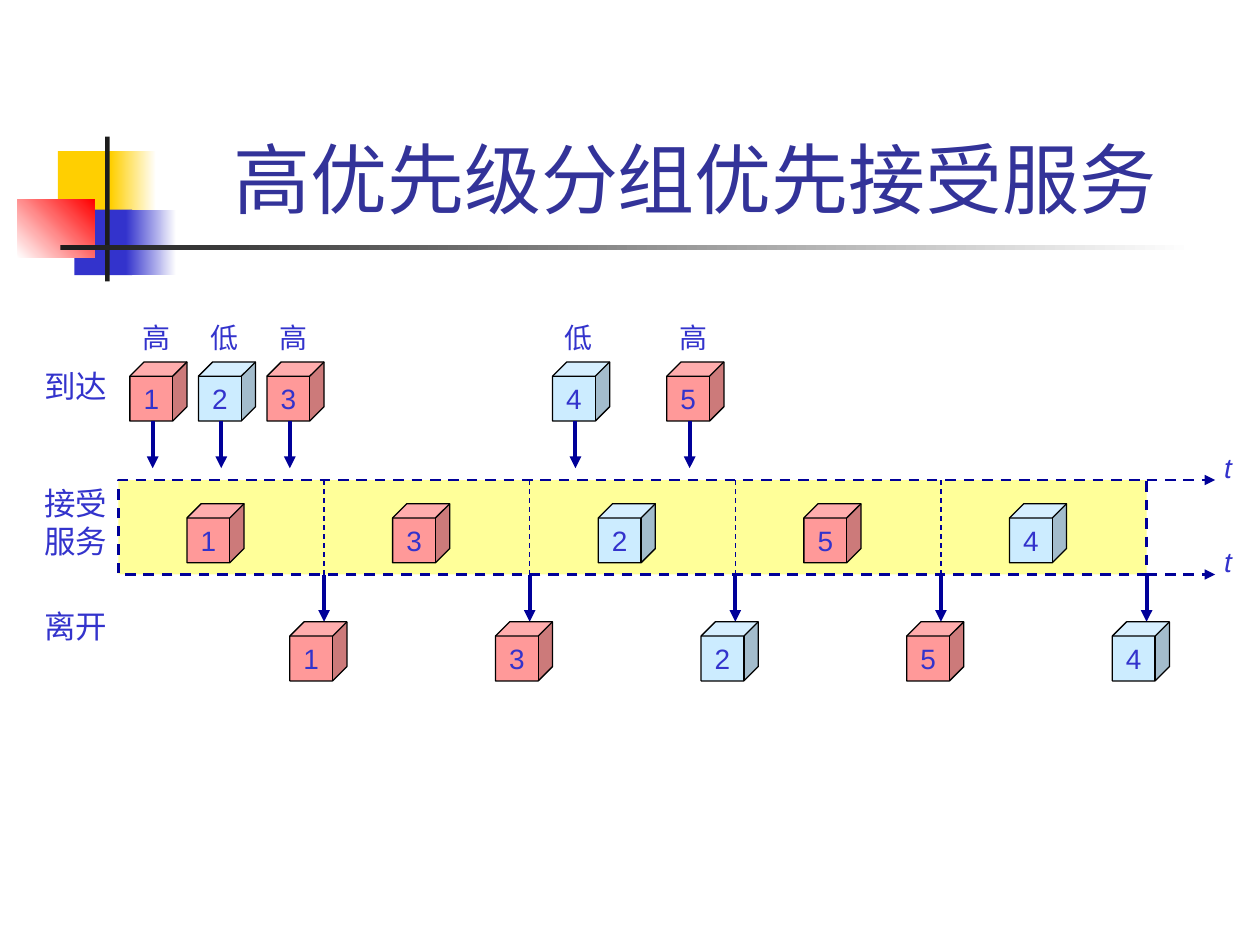
from dataclasses import dataclass

from lxml import etree
from pptx import Presentation
from pptx.dml.color import RGBColor
from pptx.enum.dml import MSO_LINE
from pptx.enum.shapes import MSO_CONNECTOR, MSO_SHAPE
from pptx.enum.text import MSO_ANCHOR, MSO_AUTO_SIZE, PP_ALIGN
from pptx.oxml.ns import qn
from pptx.util import Inches, Pt

RECTANGLE, CUBE = MSO_SHAPE.RECTANGLE, MSO_SHAPE.CUBE
STRAIGHT, DASH = MSO_CONNECTOR.STRAIGHT, MSO_LINE.DASH
CENTER, MIDDLE, BOTTOM = PP_ALIGN.CENTER, MSO_ANCHOR.MIDDLE, MSO_ANCHOR.BOTTOM
GROW = MSO_AUTO_SIZE.SHAPE_TO_FIT_TEXT

WIDTH, HEIGHT = 10, 7.5
# Timeline grid: its origin is the top left corner of the service band.
ORIGIN_X, ORIGIN_Y = 0.94, 3.81
SLOT, SLOTS, BAND = 18, 5, 8
COLUMN, ROW = 8.16 / (SLOT * SLOTS), 0.75 / BAND
CUBE_SIZE = 5


@dataclass(frozen=True)
class Theme:
    """Colours, font and sizes in points."""
    font: str = "Arial"
    title: str = "333399"
    text: str = "3333CC"
    line: str = "000099"
    outline: str = "000000"
    band: str = "FFFF99"
    high: str = "FF9999"
    low: str = "CCECFF"
    yellow: str = "FFCF01"
    blue: str = "3333CC"
    red: str = "FF0000"
    dark: str = "1C1C1C"
    white: str = "FFFFFF"
    title_size: int = 44
    row_size: int = 18
    small_size: int = 16
    thin: float = 0.75
    medium: float = 1.5
    thick: float = 2.25


def share(left, top, width, height):
    """Turn percentages of the slide into a frame."""
    return (Inches(left * WIDTH / 100), Inches(top * HEIGHT / 100),
            Inches(width * WIDTH / 100), Inches(height * HEIGHT / 100))


def point(column, row):
    """Place a point of the timeline grid on the slide."""
    return Inches(ORIGIN_X + column * COLUMN), Inches(ORIGIN_Y + row * ROW)


def grid(column, row, columns, rows):
    """Turn grid columns and rows into a frame."""
    return *point(column, row), Inches(columns * COLUMN), Inches(rows * ROW)


class Painter:
    """Holds the theme and the current slide."""

    def __init__(self, theme, slide):
        self.theme, self.slide = theme, slide

    def add_span(self, para, text, size, color=None, italic=None):
        """Add one styled run to a paragraph."""
        span = para.add_run()
        span.text = text
        span.font.name, span.font.size = self.theme.font, Pt(size)
        span.font.italic = italic
        span.font.color.rgb = RGBColor.from_string(color or self.theme.text)

    def title(self, text, frame):
        """Fill and place the title placeholder."""
        box = self.slide.shapes.title
        box.left, box.top, box.width, box.height = frame
        box.text_frame.vertical_anchor = BOTTOM
        para = box.text_frame.paragraphs[0]
        para.alignment = CENTER
        self.add_span(para, text, self.theme.title_size, self.theme.title)

    def label(self, lines, frame, size, italic=None):
        """Add a text box with one paragraph per line."""
        box = self.slide.shapes.add_textbox(*frame)
        text_frame = box.text_frame
        text_frame.word_wrap, text_frame.auto_size = False, GROW
        for index, line in enumerate(lines):
            para = text_frame.add_paragraph() if index else text_frame.paragraphs[0]
            self.add_span(para, line, size, italic=italic)

    def shape(self, kind, frame, colors, angle=0):
        """Add an unlined shape, with a gradient if two colours are given."""
        shape = self.slide.shapes.add_shape(kind, *frame)
        shape.shadow.inherit = False
        shape.line.fill.background()
        if len(colors) == 1:
            shape.fill.solid()
            shape.fill.fore_color.rgb = RGBColor.from_string(colors[0])
        else:
            shape.fill.gradient()
            shape.fill.gradient_angle = angle
            for stop, color in zip(shape.fill.gradient_stops, colors):
                stop.color.rgb = RGBColor.from_string(color)
        return shape

    def stroke(self, line, color, width, dash=None):
        """Style an outline or a connector line."""
        line.fill.solid()
        line.fill.fore_color.rgb = RGBColor.from_string(color)
        line.width = Pt(width)
        if dash:
            line.dash_style = dash

    def band(self, frame):
        """Add the dashed service band."""
        box = self.shape(RECTANGLE, frame, [self.theme.band])
        self.stroke(box.line, self.theme.line, self.theme.medium, DASH)

    def packet(self, number, column, row):
        """Add a numbered cube coloured by its priority."""
        color = self.theme.high if PRIORITY[number] == HIGH else self.theme.low
        cube = self.shape(CUBE, grid(column, row, CUBE_SIZE, CUBE_SIZE), [color])
        cube.adjustments[0] = 0.25
        self.stroke(cube.line, self.theme.outline, self.theme.thin)
        cube.text_frame.word_wrap = False
        cube.text_frame.vertical_anchor = MIDDLE
        para = cube.text_frame.paragraphs[0]
        para.alignment = CENTER
        self.add_span(para, str(number), self.theme.small_size)

    def line(self, start, end, width, dash=None, arrow=False):
        """Draw a line between two grid points."""
        line = self.slide.shapes.add_connector(STRAIGHT, *point(*start), *point(*end))
        self.stroke(line.line, self.theme.line, width, dash)
        properties = line._element.spPr
        if arrow:
            etree.SubElement(properties.find(qn("a:ln")), qn("a:tailEnd"), type="triangle")
        etree.SubElement(properties, qn("a:effectLst"))


HIGH, LOW = "高", "低"
PRIORITY = {1: HIGH, 2: LOW, 3: HIGH, 4: LOW, 5: HIGH}
ARRIVALS = {1: 1, 2: 7, 3: 13, 4: 38, 5: 48}
SERVICE_ORDER = [1, 3, 2, 5, 4]

theme = Theme()
deck = Presentation()
deck.slide_width, deck.slide_height = Inches(WIDTH), Inches(HEIGHT)
page = Painter(theme, deck.slides.add_slide(deck.slide_layouts[5]))

DECORATION = [
    ((4.6, 16, 4.8, 6.93), [theme.yellow], 0),
    ((8.8, 16, 3.6, 6.93), [theme.yellow, theme.white], 0),
    ((5.9, 22.2, 4.6, 6.93), [theme.blue], 0),
    ((10, 22.2, 4, 6.93), [theme.blue, theme.white], 0),
    ((1.4, 21.1, 6.1, 6.2), [theme.white, theme.red], 45),
    ((8.35, 14.45, 0.35, 15.33), [theme.dark], 0),
    ((4.8, 25.95, 90, 0.5), [theme.dark, theme.white], 0),
]
for place, colors, angle in DECORATION:
    page.shape(RECTANGLE, share(*place), colors, angle)
page.title("高优先级分组优先接受服务", share(12.6, 3.07, 85.2, 21.33))

for lines, row, rows in ((["到达"], -10.1, 4.3), (["接受", "服务"], -0.2, 7.5),
                         (["离开"], 10.2, 4.3)):
    page.label(lines, grid(-7.6, row, 7.7, rows), theme.row_size)

page.band(grid(0, 0, SLOT * SLOTS, BAND))
for number, column in ARRIVALS.items():
    page.label([PRIORITY[number]], grid(column, -14, 4.7, 4), theme.small_size)
    page.packet(number, column, -10)
    page.line((column + 2, -5), (column + 2, -1), theme.thick, arrow=True)

for slot, number in enumerate(SERVICE_ORDER):
    start, end = slot * SLOT, (slot + 1) * SLOT
    if slot < SLOTS - 1:
        page.line((end, 0), (end, BAND), theme.thin, DASH)
    page.packet(number, start + 6, 2)
    page.line((end, BAND), (end, 12), theme.thick, arrow=True)
    page.packet(number, start + 15, 12)

for row in (0, BAND):
    page.line((SLOT * SLOTS, row), (96, row), theme.medium, DASH, arrow=True)
    page.label(["t"], grid(95.7, row - 3.05, 3, 4), theme.small_size, italic=True)

deck.save("out.pptx")
